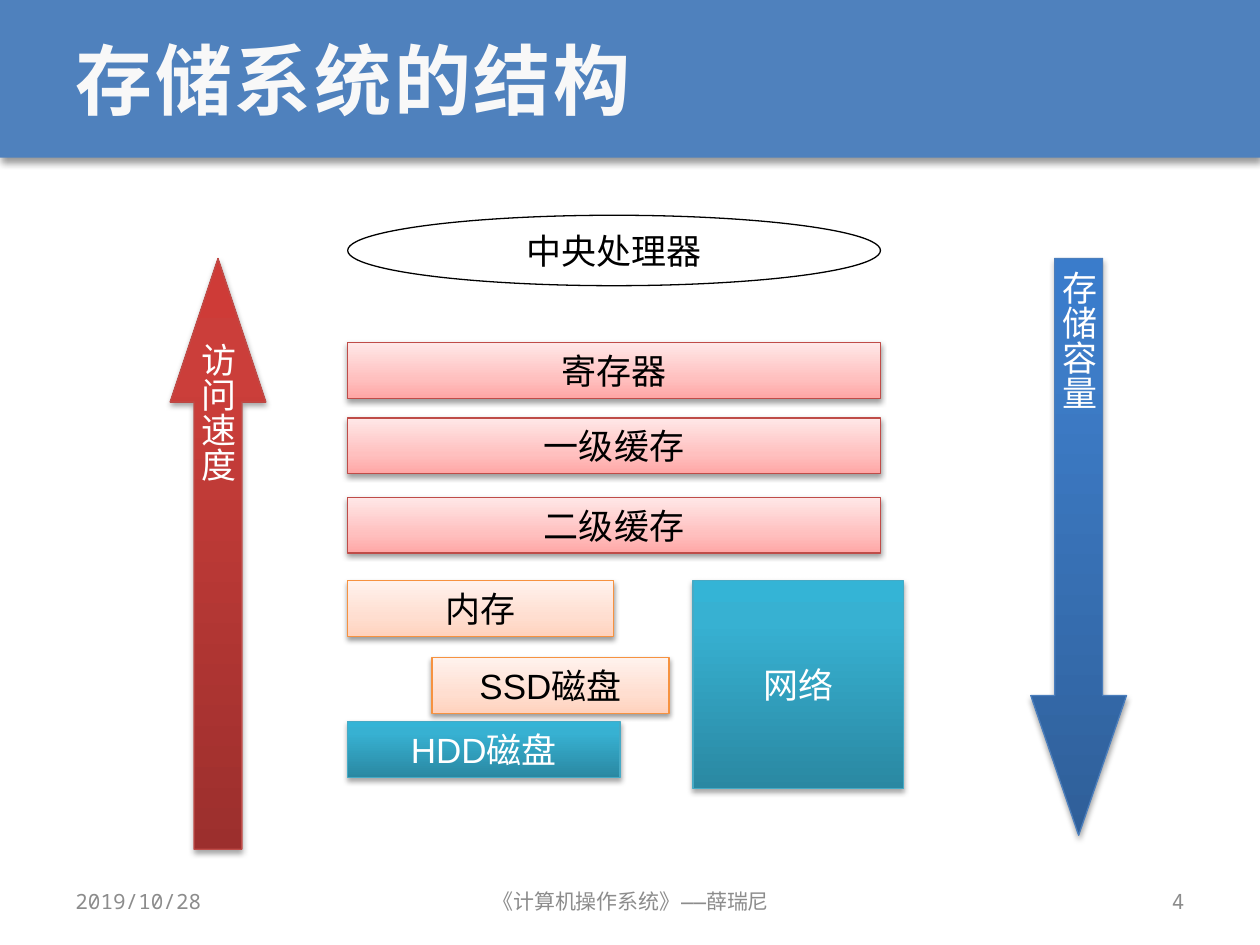
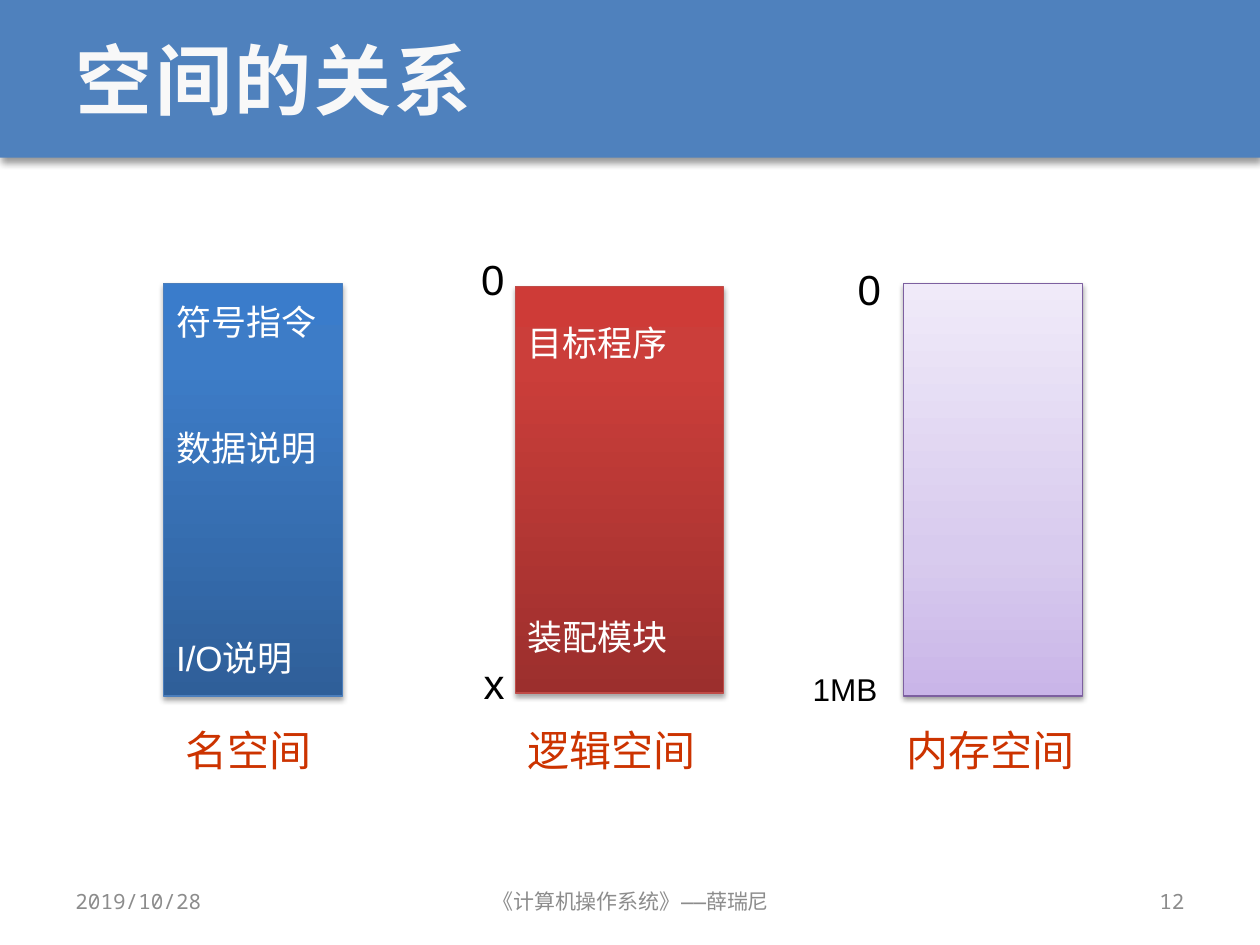
"""Build two slides on storage structure and address spaces."""
import pptx
import pptx.dml.color
import pptx.enum.shapes
import pptx.enum.text
import pptx.oxml.ns
import pptx.util
from lxml import etree

Cm, Pt = pptx.util.Cm, pptx.util.Pt
SHAPE = pptx.enum.shapes.MSO_SHAPE
ALIGN = pptx.enum.text.PP_ALIGN
MIDDLE = pptx.enum.text.MSO_ANCHOR.MIDDLE
qn = pptx.oxml.ns.qn

BODY_FONT, TITLE_FONT, CAPTION_FONT = "Arial", "Noto Sans Mono", "Noto Sans CJK SC"
BLACK, WHITE, GREY, CAPTION_RED = "000000", "FFFFFF", "8C8C8C", "CC3300"
BAND_BLUE, TITLE_WHITE = "4F81BD", "F8F8F8"
SOFT_SHADOW, DEEP_SHADOW, BAND_SHADOW = (38, 3.1, 1.6), (35, 3.1, 1.8), (40, 4, 3)
ROW_PITCH = 24

STYLES = {
    "pink": ([(0, "FFA6A5"), (35, "FFC0BF"), (100, "FFE7E7")], "BF4C48", SOFT_SHADOW, BLACK),
    "peach": ([(0, "FFD2BD"), (35, "FFDED0"), (100, "FFF2ED")], "F69240", SOFT_SHADOW, BLACK),
    "lilac": ([(0, "C9B5E8"), (35, "D8CBEE"), (100, "F0EAF9")], "7D60A0", SOFT_SHADOW, BLACK),
    "teal": ([(0, "2A88A2"), (80, "37B1D2"), (100, "34B4D6")], "46AAC5", DEEP_SHADOW, WHITE),
    "red": ([(0, "9C2F2D"), (80, "CB3E3A"), (100, "CE3B37")], "BF4C48", DEEP_SHADOW, WHITE),
    "blue": ([(0, "2F5F99"), (80, "3D7CC7"), (100, "3A7CCB")], "4B7EBC", DEEP_SHADOW, WHITE),
}


def colour(value):
    """Turn a hex string into a colour."""
    return pptx.dml.color.RGBColor.from_string(value)


def format_text(frame, size, ink, font=BODY_FONT, align=ALIGN.LEFT, bold=False):
    """Format every run of a text frame alike."""
    for paragraph in frame.paragraphs:
        paragraph.alignment = align
        for run in paragraph.runs:
            run.font.size, run.font.bold, run.font.name = Pt(size), bold, font
            run.font.color.rgb = colour(ink)
            etree.SubElement(run.font._element, qn("a:ea"), typeface=font)


def cast_shadow(shape, alpha, blur, distance):
    """Give a shape a black shadow straight below it."""
    shape.shadow.inherit = False
    effects = shape.element.spPr.find(qn("a:effectLst"))
    shadow = etree.SubElement(effects, qn("a:outerShdw"), blurRad=str(Pt(blur)),
                              dist=str(Pt(distance)), dir="5400000", rotWithShape="0")
    black = etree.SubElement(shadow, qn("a:srgbClr"), val=BLACK)
    etree.SubElement(black, qn("a:alpha"), val=str(alpha * 1000))


def add_block(slide, box, style, text="", kind=SHAPE.RECTANGLE, align=ALIGN.CENTER):
    """Add a gradient shape in a named style with its text."""
    stops, edge, shadow, ink = STYLES[style]
    block = slide.shapes.add_shape(kind, *map(Cm, box))
    block.fill.gradient()
    block.fill.gradient_angle = 90
    stop_list = block.element.spPr.find(".//" + qn("a:gsLst"))
    stop_list.clear()
    for position, value in stops:
        stop = etree.SubElement(stop_list, qn("a:gs"), pos=str(position * 1000))
        etree.SubElement(stop, qn("a:srgbClr"), val=value)
    block.line.color.rgb, block.line.width = colour(edge), Pt(0.75)
    cast_shadow(block, *shadow)
    if text:
        block.text_frame.text = text
        format_text(block.text_frame, 20, ink, align=align)
    return block


def add_label(slide, box, text, size, ink=BLACK, font=BODY_FONT, align=ALIGN.LEFT):
    """Add a one-line text box."""
    label = slide.shapes.add_textbox(*map(Cm, box))
    label.text_frame.word_wrap = False
    label.text_frame.text = text
    format_text(label.text_frame, size, ink, font, align)
    return label


def add_band(slide):
    """Put the title band on the layout that the slides share."""
    band = slide.shapes.add_shape(SHAPE.RECTANGLE, 0, 0, Cm(25.4), Cm(3.18))
    band.fill.solid()
    band.fill.fore_color.rgb = colour(BAND_BLUE)
    band.line.fill.background()
    cast_shadow(band, *BAND_SHADOW)
    slide.slide_layout.shapes.element.insert(2, band.element)


def add_title(slide, box, text):
    """Fill and format the title placeholder."""
    title = slide.shapes.title
    title.left, title.top, title.width, title.height = map(Cm, box)
    title.text_frame.text = text
    title.text_frame.vertical_anchor = MIDDLE
    format_text(title.text_frame, 44, TITLE_WHITE, TITLE_FONT, bold=True)
    title.text_frame.paragraphs[0].runs[0].font._element.set("spc", "150")


def add_footer(slide, box, number):
    """Add the date, the course and the slide number."""
    left, top, width, height = box
    for text, offset, span, align in (
            ("2019/10/28", 0, 5.92, ALIGN.LEFT),
            ("《计算机操作系统》——薛瑞尼", 7.42, 8.05, ALIGN.CENTER),
            (str(number), width - 5.92, 5.92, ALIGN.RIGHT)):
        note = add_label(slide, (left + offset, top, span, height), text, 12,
                         GREY, TITLE_FONT, align)
        note.text_frame.word_wrap = True
        note.text_frame.vertical_anchor = MIDDLE


def add_hierarchy(slide, box):
    """Stack the storage levels under the processor."""
    left, top, width, row = box
    processor = slide.shapes.add_shape(SHAPE.OVAL, Cm(left), Cm(top), Cm(width), Cm(1.42))
    processor.fill.solid()
    processor.fill.fore_color.rgb = colour(WHITE)
    processor.line.color.rgb, processor.line.width = colour(BLACK), Pt(0.75)
    processor.shadow.inherit = False
    processor.text_frame.text = "中央处理器"
    processor.text_frame.word_wrap = False
    format_text(processor.text_frame, 20, BLACK, align=ALIGN.CENTER)
    for text, style, x, y, span, height in (
            ("寄存器", "pink", 0, 2.57, width, row),
            ("一级缓存", "pink", 0, 4.09, width, row),
            ("二级缓存", "pink", 0, 5.69, width, row),
            ("内存", "peach", 0, 7.37, 5.36, row),
            ("SSD磁盘", "peach", 1.7, 8.92, 4.78, row),
            ("HDD磁盘", "teal", 0, 10.21, 5.49, row),
            ("网络", "teal", 6.96, 7.37, 4.24, 4.19)):
        add_block(slide, (left + x, top + y, span, height), style, text)


def add_trend(slide, box, style, text, kind, head):
    """Add a tall arrow with vertical text."""
    arrow = add_block(slide, box, style, text, kind, ALIGN.LEFT)
    arrow.adjustments[0], arrow.adjustments[1] = 0.5, head
    arrow.text_frame.word_wrap = False
    arrow.text_frame.vertical_anchor = MIDDLE
    arrow.text_frame._txBody.bodyPr.set("vert", "eaVert")


def add_space(slide, box, style, contents, caption, addresses=()):
    """Add an address space: its column, contents, caption and addresses."""
    left, top = box[:2]
    column = add_block(slide, box, style, "\n".join(text for text, _ in contents),
                       align=ALIGN.LEFT)
    for paragraph, (_, rows_before) in zip(column.text_frame.paragraphs, contents):
        paragraph.line_spacing = Pt(ROW_PITCH)
        paragraph.space_before = Pt(ROW_PITCH * rows_before)
    name, shift, width = caption
    add_label(slide, (left + shift, 14.48, width, 1.3), name, 24, CAPTION_RED, CAPTION_FONT)
    for text, x, y, span, size in addresses:
        add_label(slide, (left + x, top + y, span, 1.3), text, size)


def build_storage(slide):
    """Lay out the storage structure slide."""
    add_hierarchy(slide, (7.01, 4.34, 10.74, 1.12))
    add_trend(slide, (3.43, 5.21, 1.93, 11.91), "red", "访问速度", SHAPE.UP_ARROW, 1.5)
    add_trend(slide, (20.78, 5.21, 1.93, 11.63), "blue", "存储容量", SHAPE.DOWN_ARROW, 1.46)


def build_spaces(slide):
    """Lay out the three address spaces."""
    add_space(slide, (3.3, 5.72, 3.61, 8.31), "blue",
              [("符号指令", 0), ("数据说明", 2), ("I/O说明", 4)], ("名空间", 0.2, 3.07))
    add_space(slide, (10.39, 5.77, 4.19, 8.2), "red",
              [("目标程序", 0), ("装配模块", 6)], ("逻辑空间", 0, 3.94),
              [("0", -0.94, -0.79, 0.97, 24), ("x", -0.89, 7.36, 0.94, 24)])
    add_space(slide, (18.21, 5.72, 3.61, 8.31), "lilac", [], ("内存空间", -0.18, 3.94),
              [("0", -1.17, -0.54, 0.97, 24), ("1MB", -2.08, 7.67, 2.01, 18)])


def main():
    """Build and save the presentation."""
    deck = pptx.Presentation()
    deck.slide_width, deck.slide_height = Cm(25.4), Cm(19.05)
    layout = deck.slide_layouts[5]
    for title, number, build in (("存储系统的结构", 4, build_storage),
                                 ("空间的关系", 12, build_spaces)):
        slide = deck.slides.add_slide(layout)
        add_title(slide, (1.27, 0, 22.86, 3.18), title)
        build(slide)
        add_footer(slide, (1.27, 17.65, 22.86, 1.02), number)
    add_band(deck.slides[0])
    deck.save("out.pptx")


if __name__ == "__main__":
    main()
